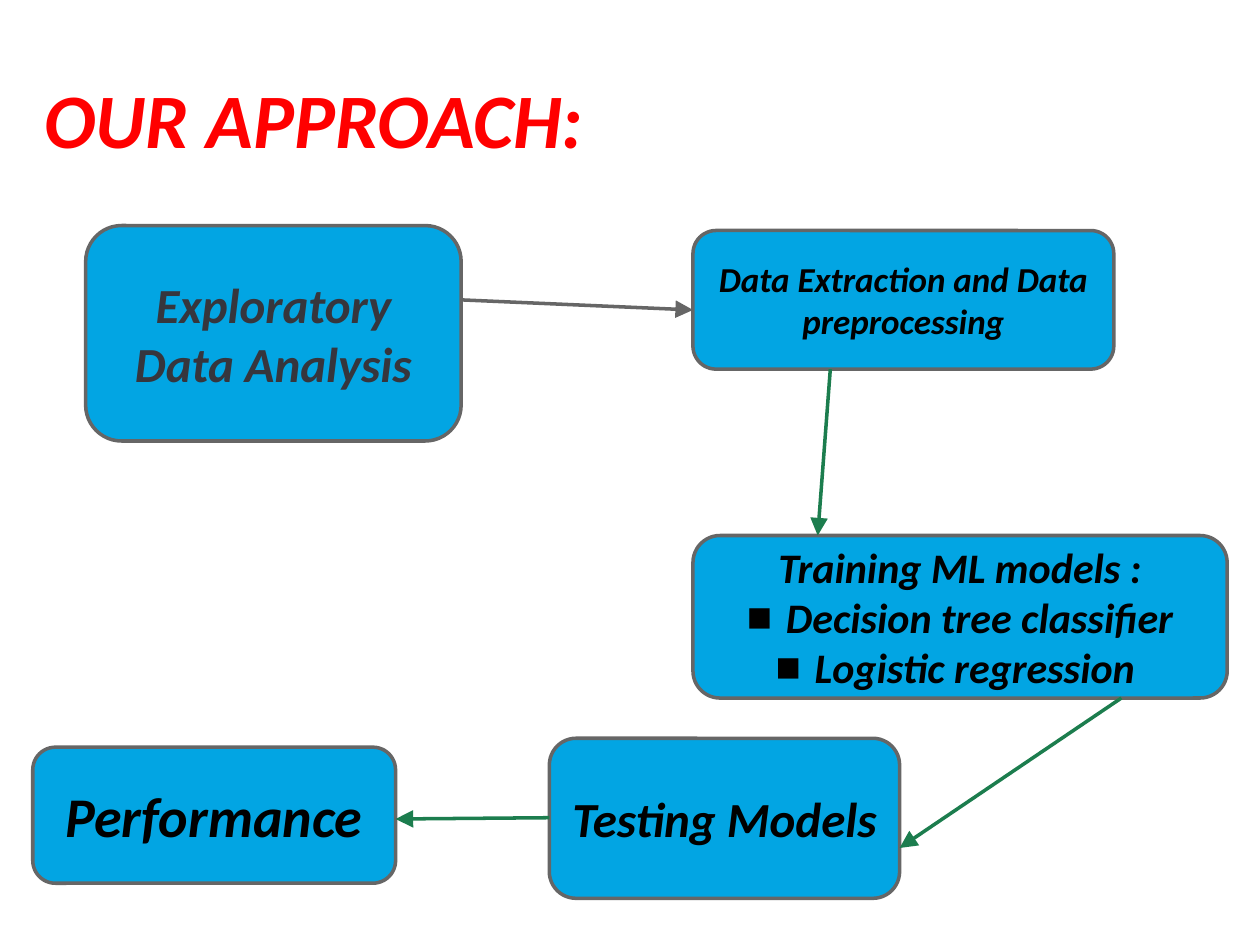
from lxml.etree import SubElement
from pptx import Presentation
from pptx.dml.color import RGBColor
from pptx.enum.shapes import MSO_CONNECTOR, MSO_SHAPE
from pptx.enum.text import MSO_ANCHOR, PP_ALIGN
from pptx.oxml.ns import qn
from pptx.util import Inches, Pt

TITLE = ("OUR APPROACH:", (0.25, 0.6, 8.5, 0.78))
BLUE, GREY, GREEN, BLACK = "02A5E3", "666666", "1C7D4E", "000000"
STEPS = [
    ((0.68, 1.79, 2.98, 1.71), 28, "36363D", "Exploratory Data Analysis", []),
    ((5.5, 1.83, 3.34, 1.1), 20, BLACK, "Data Extraction and Data preprocessing", []),
    ((5.5, 4.25, 4.24, 1.29), 24, BLACK, "Training ML models :",
     ["Decision tree classifier", "Logistic regression "]),
    ((4.36, 5.86, 2.78, 1.27), 28, BLACK, "Testing Models", []),
    ((0.26, 5.93, 2.88, 1.08), 32, BLACK, "Performance", []),
]
ARROWS = [
    ((3.66, 2.38, 5.5, 2.46), GREY),
    ((6.59, 2.93, 6.49, 4.25), GREEN),
    ((8.9, 5.54, 7.14, 6.73), GREEN),
    ((4.36, 6.49, 3.14, 6.5), GREEN),
]


def rgb(value):
    """Turn a hex string into a colour."""
    return RGBColor.from_string(value)


def write(p, text, size, color):
    """Add a bold italic run to a paragraph."""
    r = p.add_run()
    r.text = text
    style = {"name": "Calibri", "size": Pt(size), "bold": True, "italic": True}
    for name, value in style.items():
        setattr(r.font, name, value)
    r.font.color.rgb = rgb(color)


def set_line(line, color):
    """Give an outline its colour and the common width."""
    line.color.rgb = rgb(color)
    line.width = Pt(2)


def add_bullet(p):
    """Give a paragraph a square bullet with a hanging indent."""
    pPr = p._p.get_or_add_pPr()
    pPr.set("marL", str(Inches(0.31)))
    pPr.set("indent", str(-Inches(0.31)))
    SubElement(pPr, qn("a:buFont"), typeface="Arial")
    SubElement(pPr, qn("a:buChar"), char="■")


def add_step(s, box, size, color, heading, items):
    """Draw one rounded step with its heading and bulleted items."""
    sp = s.shapes.add_shape(MSO_SHAPE.ROUNDED_RECTANGLE, *map(Inches, box))
    sp.shadow.inherit = False
    sp.fill.solid()
    sp.fill.fore_color.rgb = rgb(BLUE)
    set_line(sp.line, GREY)
    tf = sp.text_frame
    tf.word_wrap = True
    tf.vertical_anchor = MSO_ANCHOR.MIDDLE
    for i, text in enumerate([heading, *items]):
        p = tf.add_paragraph() if i else tf.paragraphs[0]
        p.alignment = PP_ALIGN.CENTER
        if i:
            add_bullet(p)
        write(p, text, size, color)


def add_arrow(s, ends, color):
    """Draw a straight arrow from the edge of one step to the next."""
    c = s.shapes.add_connector(MSO_CONNECTOR.STRAIGHT, *map(Inches, ends))
    set_line(c.line, color)
    SubElement(c.line._get_or_add_ln(), qn("a:tailEnd"),
               type="triangle", w="lg", len="lg")
    SubElement(c._element.spPr, qn("a:effectLst"))


def add_title(s, text, box):
    """Place and format the title placeholder."""
    sp = s.shapes.title
    for name, value in zip(("left", "top", "width", "height"), box):
        setattr(sp, name, Inches(value))
    tf = sp.text_frame
    tf.word_wrap = True
    tf.vertical_anchor = MSO_ANCHOR.TOP
    p = tf.paragraphs[0]
    layout = {"alignment": PP_ALIGN.LEFT, "line_spacing": 0.9, "space_before": Pt(10)}
    for name, value in layout.items():
        setattr(p, name, value)
    write(p, text, 44, "FF0000")


def main():
    """Build the slide and save it."""
    prs = Presentation()
    prs.slide_width, prs.slide_height = Inches(10), Inches(7.5)
    s = prs.slides.add_slide(prs.slide_layouts[5])
    add_title(s, *TITLE)
    for step in STEPS:
        add_step(s, *step)
    for arrow in ARROWS:
        add_arrow(s, *arrow)
    prs.save("out.pptx")


if __name__ == "__main__":
    main()
